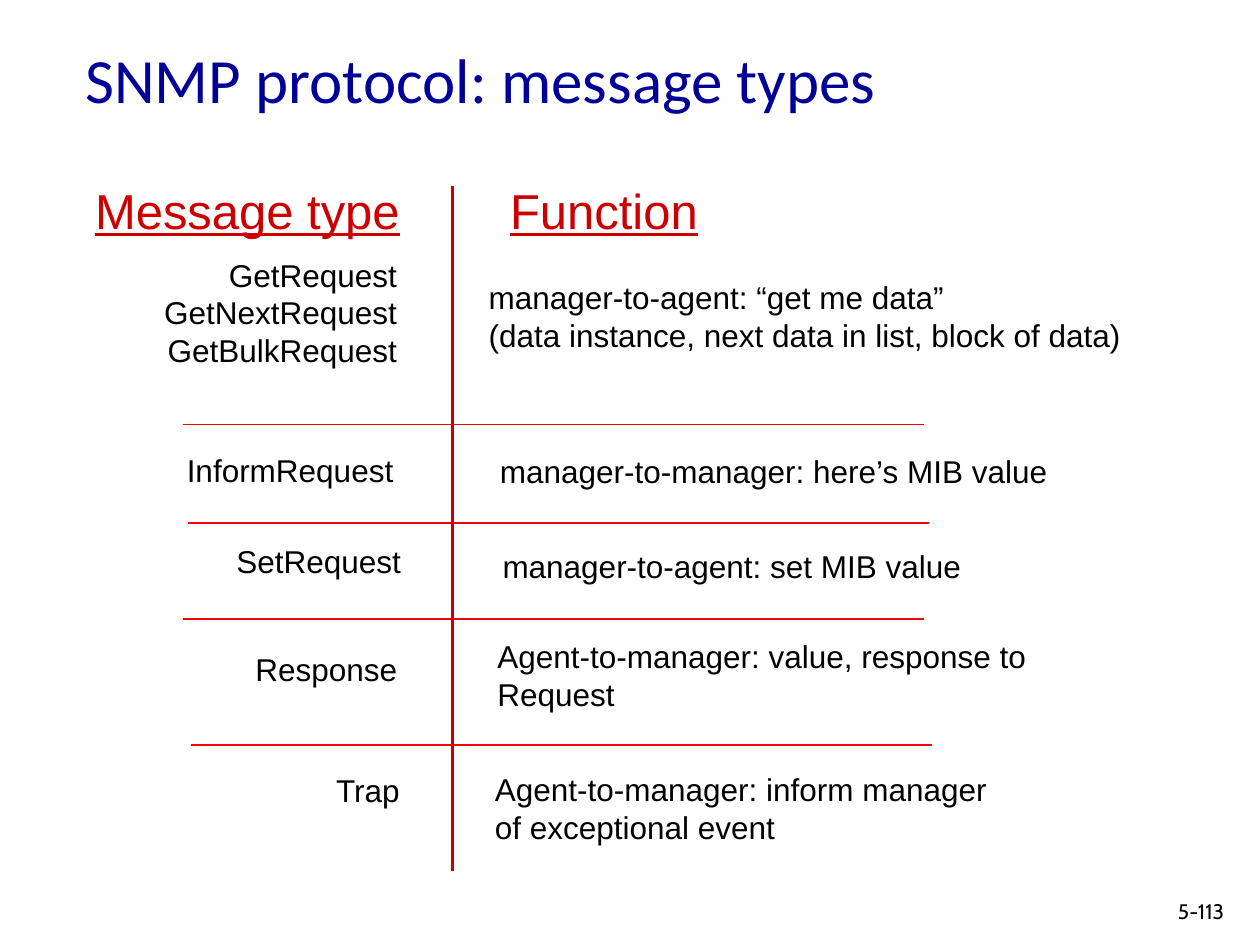
from lxml import etree
from pptx import Presentation
from pptx.dml.color import RGBColor
from pptx.enum import shapes, text
from pptx.oxml.ns import qn
from pptx.util import Inches, Pt

BLACK, NAVY, CRIMSON, RED = "000000", "000099", "CC0000", "FF0000"
LEFT, RIGHT = text.PP_ALIGN.LEFT, text.PP_ALIGN.RIGHT

# message types, their box; function lines, their box
ROWS = [
    (["GetRequest", "GetNextRequest", "GetBulkRequest"], (0.55, 1.98, 2.7, 1.31),
     ["manager-to-agent: “get me data”",
      "(data instance, next data in list, block of data)"], (3.78, 2.16, 5.27, 0.71)),
    (["InformRequest"], (0.4, 3.53, 2.82, 0.5),
     ["manager-to-manager: here’s MIB value"], (3.87, 3.54, 4.93, 0.4)),
    (["SetRequest"], (0.46, 4.25, 2.82, 0.5),
     ["manager-to-agent: set MIB value"], (3.89, 4.29, 4.67, 0.4)),
    (["Response"], (0.43, 5.11, 2.82, 0.5),
     ["Agent-to-manager: value, response to", "Request"], (3.85, 5.01, 4.63, 0.71)),
    (["Trap"], (0.45, 6.07, 2.82, 0.5),
     ["Agent-to-manager: inform manager", "of exceptional event"],
     (3.83, 6.06, 5.24, 0.71)),
]
DIVIDERS = [(1.45, 3.37), (1.49, 4.15), (1.45, 4.91), (1.52, 5.91)]
DIVIDER_WIDTH = 5.88


def rgb(value):
    return RGBColor.from_string(value)


def add_text(slide, lines, box, size=18, color=BLACK, font="Arial", align=LEFT,
             underline=None, anchor=text.MSO_ANCHOR.TOP):
    tf = slide.shapes.add_textbox(*map(Inches, box)).text_frame
    tf.word_wrap = True
    tf.vertical_anchor = anchor
    tf.text = "\n".join(lines)
    for p in tf.paragraphs:
        p.alignment = align
        p.font.name = font
        p.font.size = Pt(size)
        p.font.color.rgb = rgb(color)
        p.font.underline = underline


def add_line(slide, start, end, color, width):
    line = slide.shapes.add_connector(
        shapes.MSO_CONNECTOR.STRAIGHT, *map(Inches, (*start, *end)))
    line.line.color.rgb = rgb(color)
    line.line.width = Pt(width)
    etree.SubElement(line._element.spPr, qn("a:effectLst"))


def main():
    prs = Presentation()
    prs.slide_width, prs.slide_height = Inches(10), Inches(7.5)
    slide = prs.slides.add_slide(prs.slide_layouts[6])

    add_text(slide, ["SNMP protocol: message types"], (0.58, 0, 8.5, 1.25),
             36, NAVY, "Calibri", anchor=text.MSO_ANCHOR.MIDDLE)
    add_text(slide, ["Message type"], (0.62, 1.38, 2.65, 0.57),
             28, CRIMSON, align=RIGHT, underline=True)
    add_text(slide, ["Function"], (3.95, 1.38, 1.71, 0.57),
             28, CRIMSON, underline=True)

    for types, type_box, function, function_box in ROWS:
        add_text(slide, types, type_box, align=RIGHT)
        add_text(slide, function, function_box)
    for x, y in DIVIDERS:
        add_line(slide, (x, y), (x + DIVIDER_WIDTH, y), RED, 1)
    add_line(slide, (3.59, 1.48), (3.59, 6.91), CRIMSON, 2)

    add_text(slide, ["5-113"], (9.25, 7.08, 0.65, 0.31), 12, font="Cabin")
    prs.save("out.pptx")


if __name__ == "__main__":
    main()
